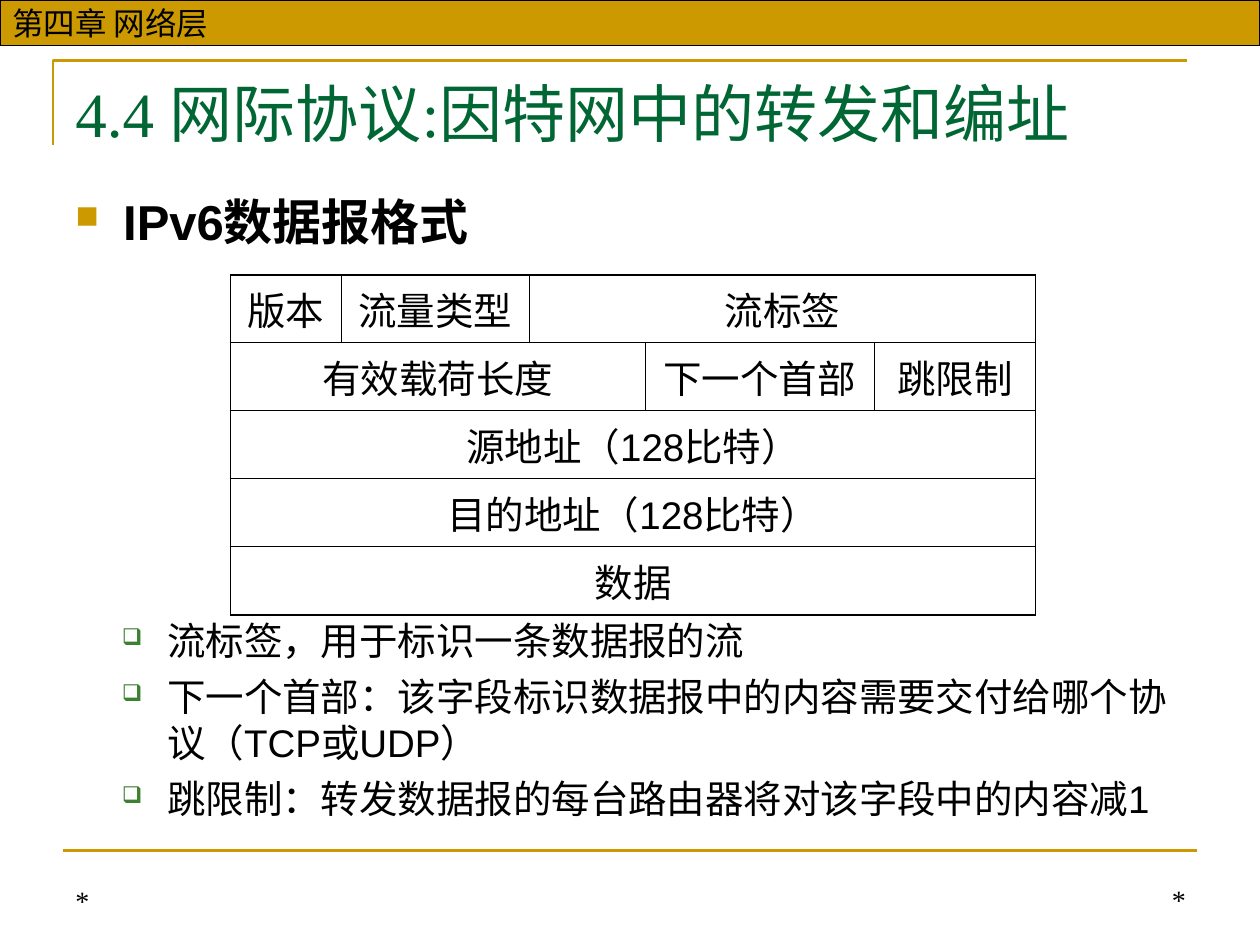
import pptx
import pptx.dml.color
import pptx.enum.shapes
import pptx.enum.text
import pptx.oxml
import pptx.oxml.ns
import pptx.util
from lxml import etree

Inches = pptx.util.Inches
Pt = pptx.util.Pt
Align = pptx.enum.text.PP_ALIGN
Anchor = pptx.enum.text.MSO_ANCHOR
qn = pptx.oxml.ns.qn

GOLD, GREEN, BLACK = "CC9900", "006633", "000000"
ROWS = [
    [("版本", 1), ("流量类型", 1), ("流标签", 3)],
    [("有效载荷长度", 3), ("下一个首部", 1), ("跳限制", 1)],
    [("源地址（128比特）", 5)],
    [("目的地址（128比特）", 5)],
    [("数据", 5)],
]
NOTES = [
    "流标签，用于标识一条数据报的流",
    "下一个首部：该字段标识数据报中的内容需要交付给哪个协议（TCP或UDP）",
    "跳限制：转发数据报的每台路由器将对该字段中的内容减1",
]


def color(code):
    return pptx.dml.color.RGBColor.from_string(code)


class Deck:
    """Holds the slide and the style of its elements."""

    def __init__(self):
        self.file = pptx.Presentation()
        self.file.slide_width, self.file.slide_height = Inches(10), Inches(7.5)
        self.slide = self.file.slides.add_slide(self.file.slide_layouts[6])
        self.shapes = self.slide.shapes

    def stroke(self, line, code, width):
        line.color.rgb = color(code)
        line.width = Pt(width)

    def font(self, para, size, face="Arial", code=BLACK, bold=False):
        para.font.size, para.font.name, para.font.bold = Pt(size), face, bold
        para.font.color.rgb = color(code)

    def bullet(self, para, mark, code, size, left, hang):
        props = para._p.get_or_add_pPr()
        props.set("marL", str(Inches(left)))
        props.set("indent", str(-Inches(hang)))
        tint = etree.SubElement(props, qn("a:buClr"))
        etree.SubElement(tint, qn("a:srgbClr"), val=code)
        etree.SubElement(props, qn("a:buSzPct"), val=str(size * 1000))
        etree.SubElement(props, qn("a:buChar"), char=mark)

    def corner(self, left, top, right, bottom):
        path = self.shapes.build_freeform(Inches(left), Inches(bottom))
        path.add_line_segments(
            [(Inches(left), Inches(top)), (Inches(right), Inches(top))], close=False)
        shape = path.convert_to_shape()
        shape.shadow.inherit = False
        shape.fill.background()
        self.stroke(shape.line, GOLD, 1.5)

    def rule(self, left, right, top):
        line = self.shapes.add_connector(
            pptx.enum.shapes.MSO_CONNECTOR.STRAIGHT,
            Inches(left), Inches(top), Inches(right), Inches(top))
        etree.SubElement(line._element.spPr, qn("a:effectLst"))
        self.stroke(line.line, GOLD, 1.5)

    def banner(self, text, height):
        shape = self.shapes.add_shape(
            pptx.enum.shapes.MSO_SHAPE.RECTANGLE, 0, 0, Inches(10), Inches(height))
        shape.shadow.inherit = False
        shape.fill.solid()
        shape.fill.fore_color.rgb = color(GOLD)
        self.stroke(shape.line, BLACK, 0.75)
        frame = shape.text_frame
        frame.word_wrap = False
        frame.vertical_anchor = Anchor.MIDDLE
        para = frame.paragraphs[0]
        para.text, para.alignment = text, Align.LEFT
        self.font(para, 18)

    def text(self, box, lines, size, face="Arial", code=BLACK, bold=False,
             align=Align.LEFT, anchor=Anchor.TOP, mark=None, gap=5.5):
        frame = self.shapes.add_textbox(*map(Inches, box)).text_frame
        frame.word_wrap = True
        frame.vertical_anchor = anchor
        for i, line in enumerate(lines):
            para = frame.add_paragraph() if i else frame.paragraphs[0]
            para.text, para.alignment = line, align
            if mark:
                self.bullet(para, *mark)
            if i:
                para.space_before = Pt(gap)
            self.font(para, size, face, code, bold)

    def edge(self, cell, sides):
        props = cell._tc.get_or_add_tcPr()
        for i, (side, outer) in enumerate(sides.items()):
            width = Pt(1.08 if outer else 0.45)
            line = etree.Element(qn("a:ln" + side), w=str(width))
            fill = etree.SubElement(line, qn("a:solidFill"))
            etree.SubElement(fill, qn("a:srgbClr"), val=BLACK)
            props.insert(i, line)

    def table(self, left, top, widths, height, rows):
        grid = self.shapes.add_table(
            len(rows), len(widths), Inches(left), Inches(top),
            Inches(sum(widths)), Inches(height * len(rows))).table
        grid.first_row = grid.horz_banding = False
        for col, width in zip(grid.columns, widths):
            col.width = Inches(width)
        for r, row in enumerate(rows):
            grid.rows[r].height = Inches(height)
            start = 0
            for text, span in row:
                end = start + span
                cell = grid.cell(r, start)
                if span > 1:
                    cell.merge(grid.cell(r, end - 1))
                sides = {"L": start == 0, "R": end == len(widths),
                         "T": r == 0, "B": r == len(rows) - 1}
                for c in range(start, end):
                    part = grid.cell(r, c)
                    part.fill.background()
                    self.edge(part, sides)
                cell.vertical_anchor = Anchor.MIDDLE
                para = cell.text_frame.paragraphs[0]
                para.text, para.alignment = text, Align.CENTER
                self.font(para, 22)
                start = end


def main():
    deck = Deck()
    deck.corner(0.42, 0.48, 9.42, 1.15)
    deck.rule(0.5, 9.5, 6.75)
    deck.banner("第四章 网络层", 0.36)
    serif = "Times New Roman"
    deck.text((0.5, 6.83, 2.33, 0.5), ["*"], 16, serif, anchor=Anchor.BOTTOM)
    deck.text((6.34, 6.82, 3.17, 0.5), ["*"], 16, serif,
              align=Align.RIGHT, anchor=Anchor.BOTTOM)
    deck.text((0.5, 0.54, 9, 0.77), ["4.4 网际协议:因特网中的转发和编址"],
              36, serif, GREEN)
    deck.text((0.5, 1.47, 9, 0.6), ["IPv6数据报格式"], 28, bold=True,
              mark=("■", GOLD, 65, 0.38, 0.38))
    deck.text((0.5, 4.85, 9, 1.8), NOTES, 22,
              mark=("❑", "3B812F", 60, 0.73, 0.36))
    deck.table(1.83, 2.18, [0.88, 1.49, 0.92, 1.82, 1.28], 0.54, ROWS)
    deck.file.save("out.pptx")


if __name__ == "__main__":
    main()
